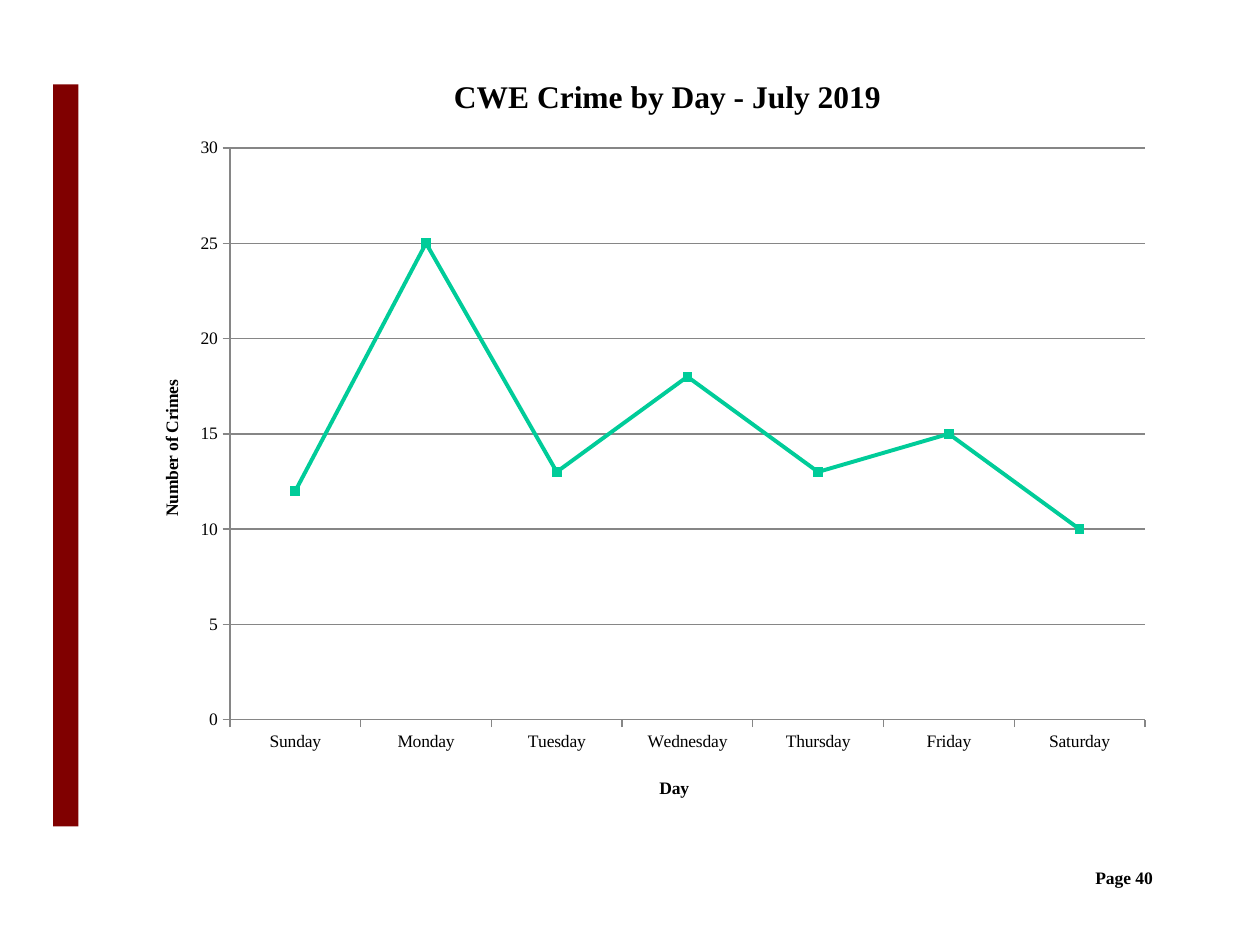
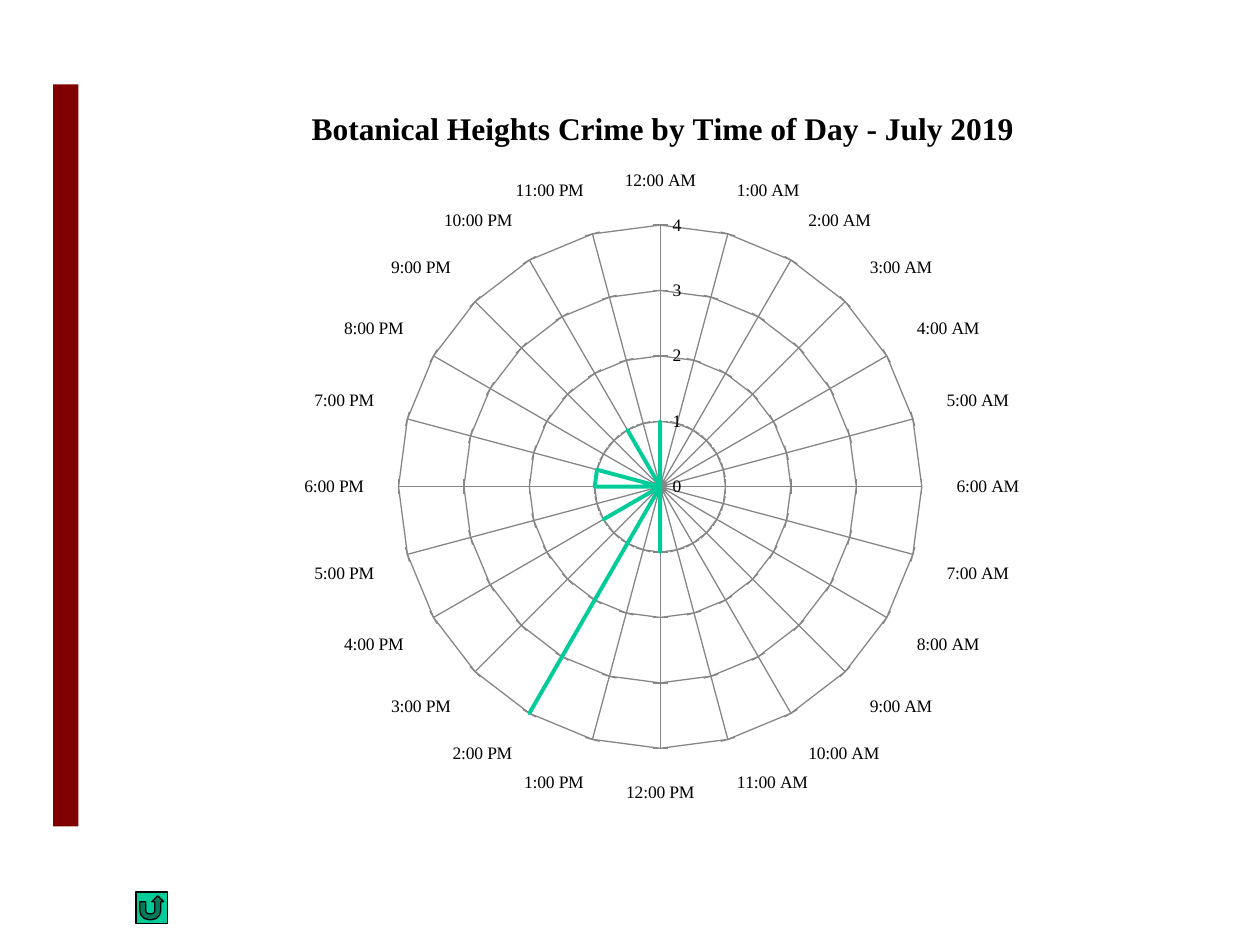
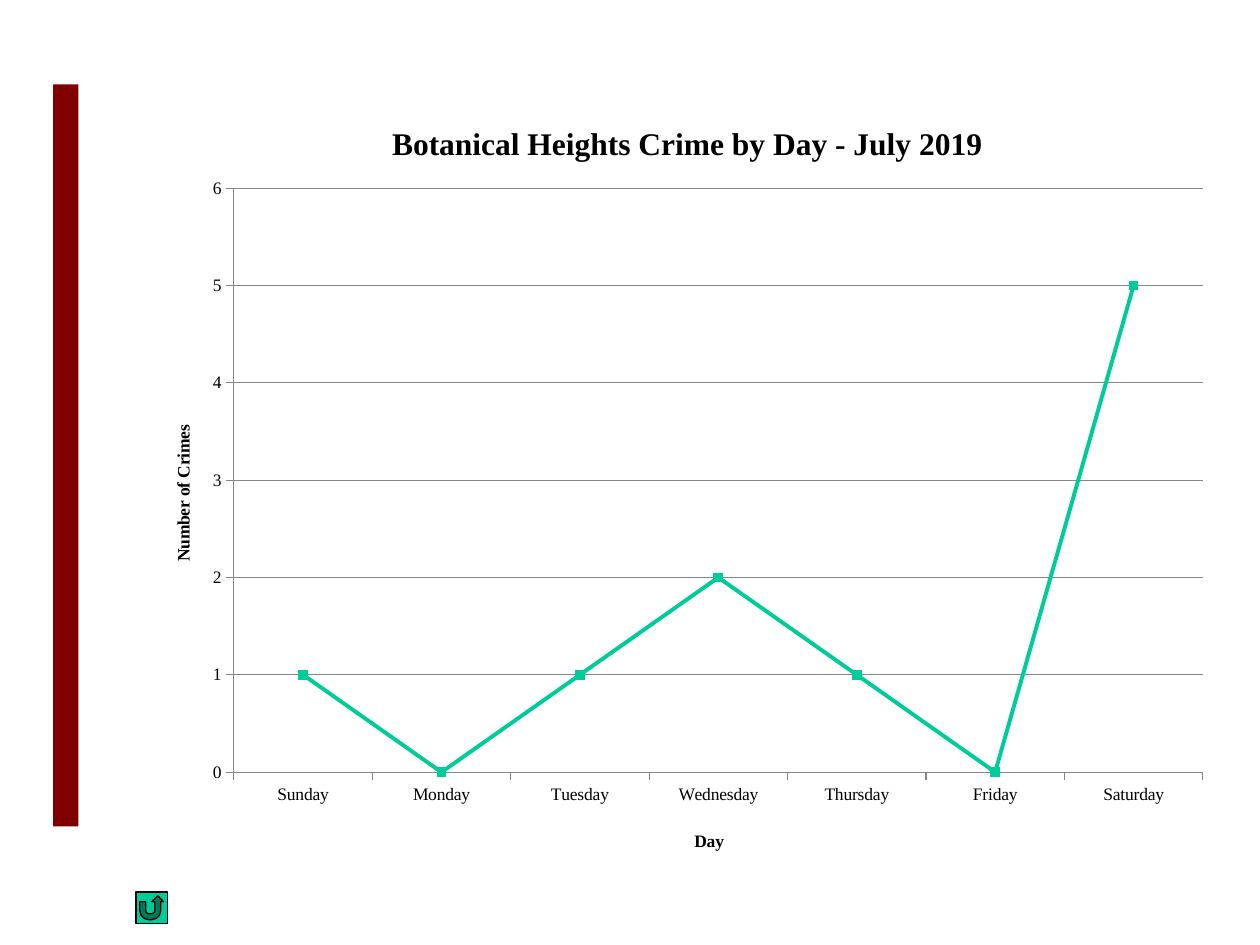
from typing import NamedTuple

from pptx import Presentation
from pptx.chart.data import CategoryChartData
from pptx.dml.color import RGBColor
from pptx.enum.chart import XL_CHART_TYPE, XL_MARKER_STYLE, XL_TICK_MARK
from pptx.enum.shapes import MSO_SHAPE
from pptx.enum.text import PP_ALIGN
from pptx.oxml import parse_xml
from pptx.oxml.ns import nsdecls, qn
from pptx.util import Cm, Pt

MAROON = RGBColor(0x80, 0x00, 0x00)
GREEN = RGBColor(0x00, 0xCC, 0x99)
BLACK = RGBColor(0x00, 0x00, 0x00)
GRAY = RGBColor(0x86, 0x86, 0x86)
FONT = "Times New Roman"
DAYS = ["Sunday", "Monday", "Tuesday", "Wednesday", "Thursday", "Friday", "Saturday"]
HOURS = [f"{(hour + 11) % 12 + 1}:00 {'AM' if hour < 12 else 'PM'}" for hour in range(24)]
CRIMES_BY_HOUR = {0: 1, 12: 1, 14: 4, 16: 1, 18: 1, 19: 1, 22: 1}


class Box(NamedTuple):
    left: float
    top: float
    width: float
    height: float

    def lengths(self):
        return [Cm(value) for value in self]


BAND_BOX = Box(1.07, 1.7, 0.51, 14.96)
BUTTON_BOX = Box(2.74, 17.98, 0.64, 0.64)
PAGE_BOX = Box(18.21, 17.35, 5.28, 1.27)


def style_font(font, size, bold=False):
    font.name = FONT
    font.size = Pt(size)
    font.bold = bold
    font.color.rgb = BLACK


def add_filled_shape(slide, kind, box, color):
    shape = slide.shapes.add_shape(kind, *box.lengths())
    shape.shadow.inherit = False
    shape.fill.solid()
    shape.fill.fore_color.rgb = color
    return shape


def add_band_to_master(presentation, slide):
    band = add_filled_shape(slide, MSO_SHAPE.RECTANGLE, BAND_BOX, MAROON)
    band.line.fill.background()
    band.element.nvSpPr.cNvPr.set("id", "20")
    presentation.slide_master.shapes.element.append(band.element)


def add_return_button(slide, box):
    button = add_filled_shape(slide, MSO_SHAPE.ACTION_BUTTON_RETURN, box, GREEN)
    button.line.color.rgb = BLACK
    button.line.width = Pt(0.75)


def add_page_number(slide, box, text):
    frame = slide.shapes.add_textbox(*box.lengths()).text_frame
    frame.word_wrap = True
    paragraph = frame.paragraphs[0]
    paragraph.alignment = PP_ALIGN.RIGHT
    run = paragraph.add_run()
    run.text = text
    style_font(run.font, 10, True)


def place(parent, index, position, inner=False):
    present = parent.find(qn("c:layout"))
    if present is not None:
        parent.remove(present)
    settings = [("layoutTarget", "inner")] if inner else []
    settings += [("xMode", "edge"), ("yMode", "edge")]
    settings += zip("xywh", position)
    children = "".join(f'<c:{name} val="{value}"/>' for name, value in settings)
    parent.insert(index, parse_xml(
        f"<c:layout {nsdecls('c')}><c:manualLayout>{children}</c:manualLayout></c:layout>"))


def set_title(title, text, size, position):
    run = title.text_frame.paragraphs[0].add_run()
    run.text = text
    style_font(run.font, size, True)
    place(title.element, 1, position)


def add_crime_chart(slide, kind, box, title, title_position, plot_position,
                    categories, values, maximum, step):
    data = CategoryChartData()
    data.categories = categories
    data.add_series("Series 1", values)
    chart = slide.shapes.add_chart(kind, *box.lengths(), data).chart
    chart.has_legend = False
    style_font(chart.font, 10)
    chart.has_title = True
    set_title(chart.chart_title, title, 18, title_position)
    place(chart.element.find(".//" + qn("c:plotArea")), 0, plot_position, True)
    for axis in (chart.category_axis, chart.value_axis):
        axis.major_tick_mark = XL_TICK_MARK.OUTSIDE
        axis.minor_tick_mark = XL_TICK_MARK.NONE
        axis.format.line.color.rgb = GRAY
        axis.format.line.width = Pt(0.75)
    value_axis = chart.value_axis
    value_axis.minimum_scale = 0
    value_axis.maximum_scale = maximum
    value_axis.major_unit = step
    gridlines = value_axis.major_gridlines.format.line
    gridlines.color.rgb = GRAY
    gridlines.width = Pt(0.75)
    series = chart.plots[0].series[0]
    series.smooth = False
    series.format.line.color.rgb = GREEN
    series.format.line.width = Pt(2.25)
    return chart, series


def add_day_chart(slide, box, title, title_position, plot_position, values, maximum, step):
    chart, series = add_crime_chart(
        slide, XL_CHART_TYPE.LINE_MARKERS, box, title, title_position, plot_position,
        DAYS, values, maximum, step)
    chart.plots[0].vary_by_categories = False
    series.marker.style = XL_MARKER_STYLE.SQUARE
    series.marker.size = 5
    series.marker.format.fill.solid()
    series.marker.format.fill.fore_color.rgb = GREEN
    series.marker.format.line.color.rgb = GREEN
    set_title(chart.category_axis.axis_title, "Day", 10, (0.51, 0.94))
    crimes_title = chart.value_axis.axis_title
    set_title(crimes_title, "Number of Crimes", 10, (0.03, 0.42))
    body = crimes_title.element.find(".//" + qn("a:bodyPr"))
    body.set("rot", "-5400000")
    body.set("vert", "horz")


def add_hour_chart(slide, box, title, title_position, plot_position):
    values = [CRIMES_BY_HOUR.get(hour, 0) for hour in range(24)]
    chart, series = add_crime_chart(
        slide, XL_CHART_TYPE.RADAR, box, title, title_position, plot_position,
        HOURS, values, 4, 1)
    spokes = chart.category_axis.major_gridlines.format.line
    spokes.color.rgb = GRAY
    spokes.width = Pt(0.75)
    series.marker.style = XL_MARKER_STYLE.NONE


def main():
    presentation = Presentation()
    presentation.slide_width = Cm(25.4)
    presentation.slide_height = Cm(19.05)
    blank = presentation.slide_layouts[6]
    west_end_days, botanical_hours, botanical_days = [
        presentation.slides.add_slide(blank) for _ in range(3)]
    add_band_to_master(presentation, west_end_days)

    add_page_number(west_end_days, PAGE_BOX, "Page 40")
    add_day_chart(west_end_days, Box(2.54, 1.14, 20.96, 15.37),
                  "CWE Crime by Day - July 2019", (0.31, 0.02),
                  (0.1, 0.12, 0.88, 0.75), [12, 25, 13, 18, 13, 15, 10], 30, 5)

    add_return_button(botanical_hours, BUTTON_BOX)
    add_hour_chart(botanical_hours, Box(3.39, 1.48, 19.84, 15.29),
                   "Botanical Heights Crime by Time of Day - July 2019", (0.14, 0.04),
                   (0.23, 0.2, 0.54, 0.69))

    add_return_button(botanical_days, BUTTON_BOX)
    add_day_chart(botanical_days, Box(2.74, 1.91, 21.95, 15.7),
                  "Botanical Heights Crime by Day - July 2019", (0.23, 0.03),
                  (0.09, 0.12, 0.89, 0.75), [1, 0, 1, 2, 1, 0, 5], 6, 1)

    presentation.save("out.pptx")


if __name__ == "__main__":
    main()
